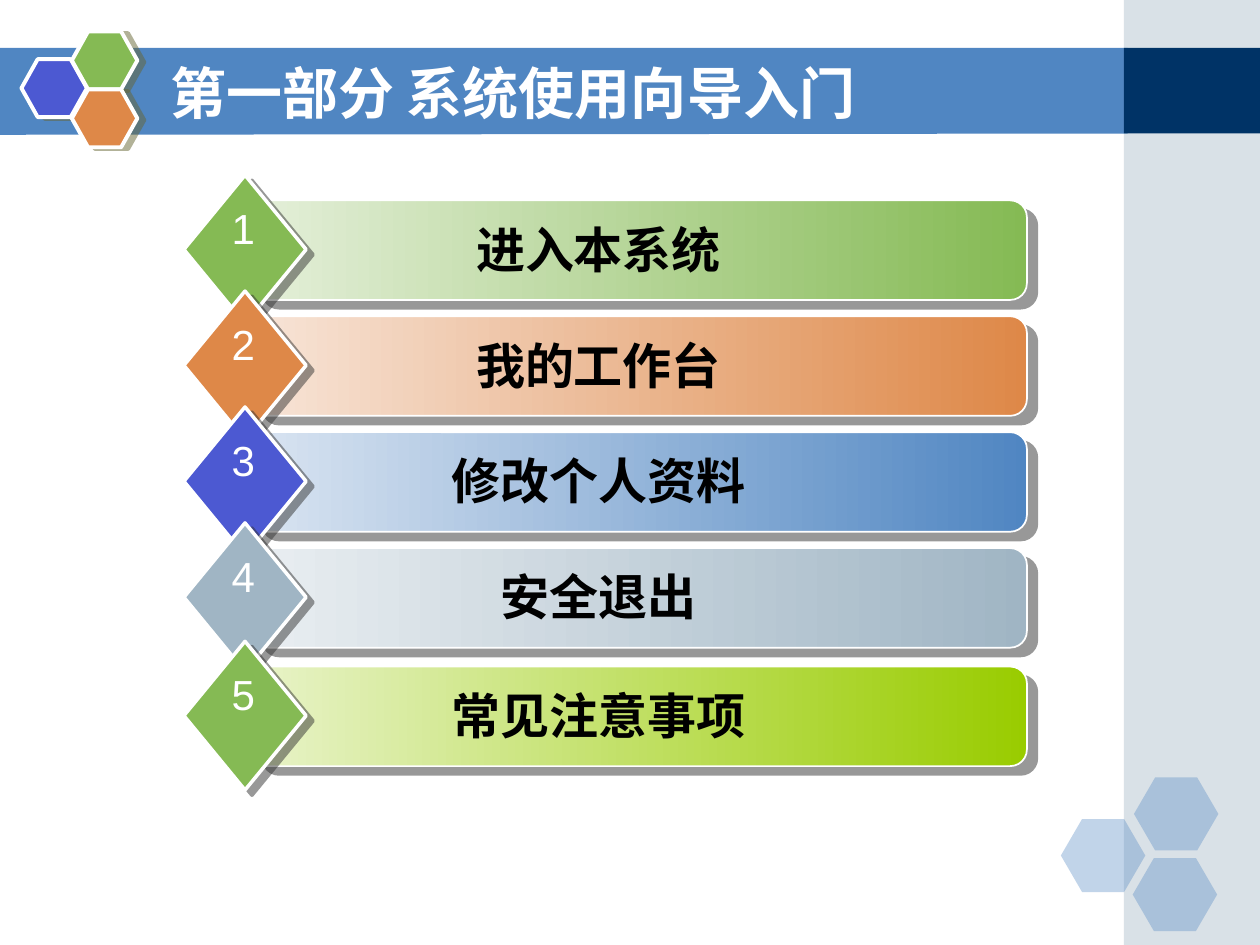
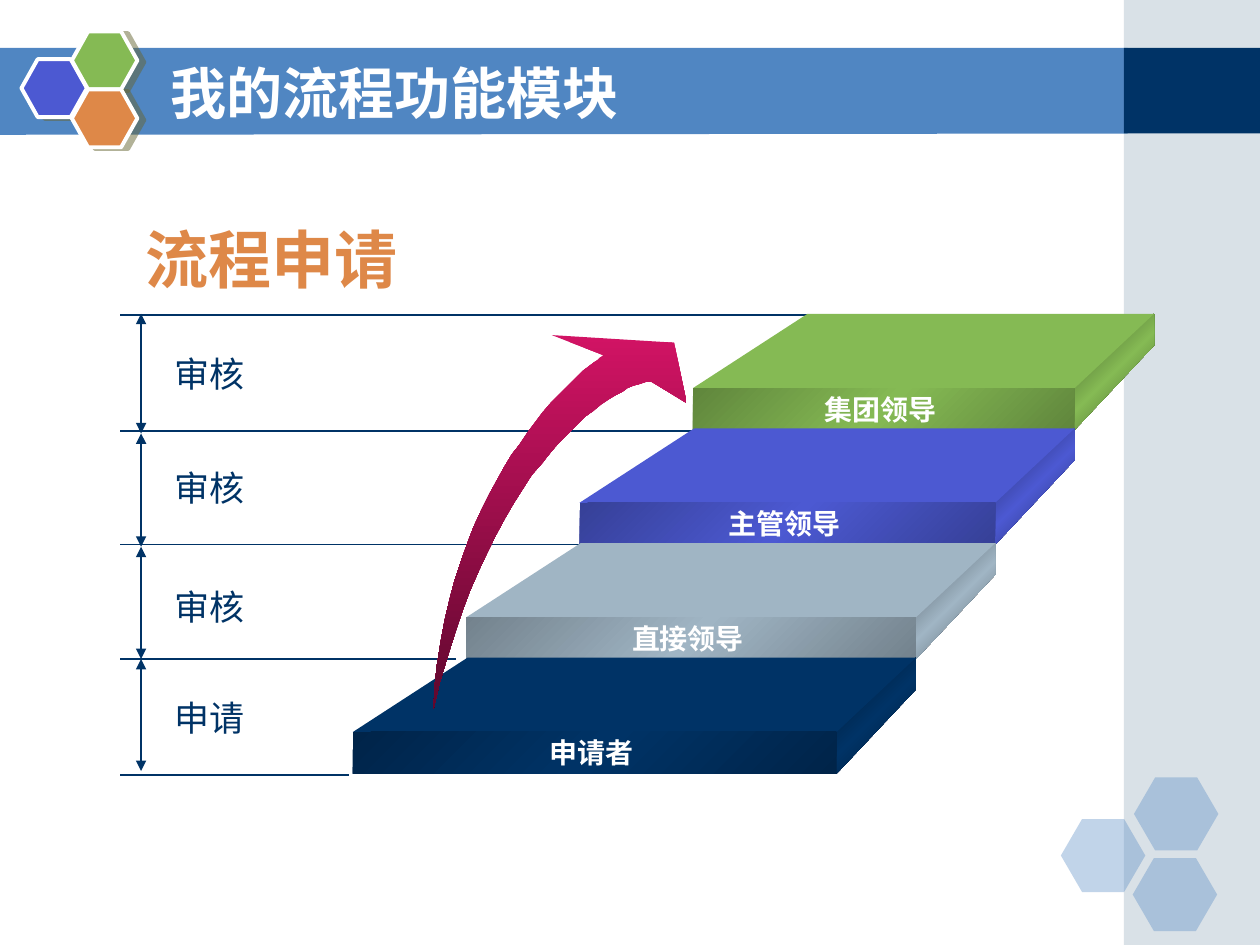
from copy import deepcopy
from itertools import pairwise

from pptx import Presentation
from pptx.dml.color import RGBColor
from pptx.enum.shapes import MSO_CONNECTOR, MSO_SHAPE
from pptx.enum.text import MSO_ANCHOR, MSO_AUTO_SIZE, PP_ALIGN
from pptx.oxml.ns import qn
from pptx.oxml.xmlchemy import OxmlElement
from pptx.util import Pt

PX = 9144  # EMU per px, 100 px to the inch
TITLE_ONLY = 5
RECTANGLE, ROUNDED = MSO_SHAPE.RECTANGLE, MSO_SHAPE.ROUNDED_RECTANGLE
HEXAGON, DIAMOND = MSO_SHAPE.HEXAGON, MSO_SHAPE.DIAMOND
STRAIGHT = MSO_CONNECTOR.STRAIGHT
LEFT, CENTER = PP_ALIGN.LEFT, PP_ALIGN.CENTER
MIDDLE = MSO_ANCHOR.MIDDLE
HEADING_FONT, BODY_FONT = "DejaVu Sans", "Arial"

COLORS = {
    "white": "FFFFFF", "black": "000000", "navy": "003366", "blue": "5086C2",
    "indigo": "4C59D2", "green": "85BA54", "orange": "DE8848", "slate": "A0B5C4",
    "lime": "99CC00", "olive": "666633", "charcoal": "333333",
    "pale green": "E4EFD9", "pale orange": "F7E4D7", "pale blue": "D9E4F1",
    "pale slate": "E9EEF1", "pale lime": "E8F3C8",
    "dim green": "60863C", "dim indigo": "364097", "dim slate": "73828D", "dim navy": "002449",
    "deep green": "3D5526", "deep indigo": "232960", "deep slate": "49535A", "deep navy": "00172F",
    "magenta": "D11364", "wine": "60082E",
}
RGB = {name: RGBColor.from_string(value) for name, value in COLORS.items()}


def style(shape, colors, angle=0, opacity=100, line_width=0, shadow=None):
    """Fill with one colour or an even gradient; shadow is (colour, points, degrees)."""
    properties = shape.element.spPr
    if len(colors) == 1:
        shape.fill.solid()
        shape.fill.fore_color.rgb = RGB[colors[0]]
        if opacity < 100:
            alpha = OxmlElement("a:alpha")
            alpha.set("val", str(opacity * 1000))
            properties.find(".//" + qn("a:srgbClr")).append(alpha)
    else:
        shape.fill.gradient()
        stop_list = properties.find(".//" + qn("a:gsLst"))
        while len(stop_list) < len(colors):
            stop_list.append(deepcopy(stop_list[0]))
        for index, stop in enumerate(shape.fill.gradient_stops):
            stop.color.rgb = RGB[colors[index]]
            stop.position = index / (len(colors) - 1)
        shape.fill.gradient_angle = 360 - angle
    if line_width:
        shape.line.color.rgb = RGB["white"]
        shape.line.width = Pt(line_width)
    else:
        shape.line.fill.background()
    shape.shadow.inherit = False
    if shadow:
        shadow_color, distance, direction = shadow
        outer = OxmlElement("a:outerShdw")
        outer.set("dist", str(Pt(distance)))
        outer.set("dir", str(direction * 60000))
        outer.set("algn", "ctr")
        outer.set("rotWithShape", "0")
        tint = OxmlElement("a:srgbClr")
        tint.set("val", COLORS[shadow_color])
        alpha = OxmlElement("a:alpha")
        alpha.set("val", "50000")
        tint.append(alpha)
        outer.append(tint)
        properties.find(qn("a:effectLst")).append(outer)


def write(shape, text, size, color, font, bold=False, align=LEFT, wrap=True):
    frame = shape.text_frame
    frame.word_wrap = wrap
    frame.auto_size = MSO_AUTO_SIZE.NONE
    frame.text = text
    paragraph = frame.paragraphs[0]
    paragraph.alignment = align
    span = paragraph.runs[0]
    span.font.size = Pt(size)
    span.font.name = font
    span.font.bold = bold
    span.font.color.rgb = RGB[color]


deck = Presentation()
deck.slide_width, deck.slide_height = 1000 * PX, 750 * PX

# Shared layout: title place, band, side panel and hexagons
layout = deck.slide_layouts[TITLE_ONLY]
for holder in list(layout.placeholders):
    if holder.placeholder_format.idx != 0:
        holder.element.getparent().remove(holder.element)
title_place = layout.placeholders[0]
title_place.left, title_place.top = 125 * PX, 42 * PX
title_place.width, title_place.height = 733 * PX, 62 * PX

pages = []
for heading in ("第一部分 系统使用向导入门", "我的流程功能模块"):
    page = deck.slides.add_slide(layout)
    write(page.shapes.title, heading, 32, "white", HEADING_FONT, bold=True)
    page.shapes.title.text_frame.vertical_anchor = MIDDLE
    pages.append(page)
agenda, process = pages

builder = agenda.shapes.build_freeform(-1, 38, scale=PX)
builder.add_line_segments([(895, 38), (895, 106), (-1, 107)])
style(builder.convert_to_shape(), ["blue"])

for top, height, color, opacity in ((0, 750, "slate", 40), (38, 68, "navy", 100)):
    panel = agenda.shapes.add_shape(RECTANGLE, 892 * PX, top * PX, 108 * PX, height * PX)
    style(panel, [color], opacity=opacity)

for left, top in ((842, 650), (900, 617), (899, 681)):
    hexagon = agenda.shapes.add_shape(HEXAGON, left * PX, top * PX, 67 * PX, 58 * PX)
    hexagon.adjustments[0] = 0.29
    style(hexagon, ["blue"], opacity=35)

for left, top, color in ((17, 47, "indigo"), (57, 25, "green"), (57, 71, "orange")):
    hexagon = agenda.shapes.add_shape(HEXAGON, left * PX, top * PX, 52 * PX, 46 * PX)
    hexagon.adjustments[0] = 0.28
    style(hexagon, [color], line_width=2.25, shadow=("olive", 4.1, 14))

for decoration in list(agenda.shapes)[1:]:
    layout.shapes.element.append(decoration.element)

# Slide 1: numbered agenda bars
agenda_rows = [
    (159, "进入本系统", "green", "green", "pale green"),
    (251, "我的工作台", "orange", "orange", "pale orange"),
    (343, "修改个人资料", "indigo", "blue", "pale blue"),
    (435, "安全退出", "slate", "slate", "pale slate"),
    (529, "常见注意事项", "green", "lime", "pale lime"),
]
for number, (top, label, marker_color, bar_color, pale) in enumerate(agenda_rows, 1):
    bar = agenda.shapes.add_shape(ROUNDED, 200 * PX, top * PX, 615 * PX, 79 * PX)
    style(bar, [bar_color, pale], angle=180, line_width=1, shadow=("charcoal", 7.8, 40))
    marker = agenda.shapes.add_shape(DIAMOND, 146 * PX, (top - 20) * PX, 97 * PX, 118 * PX)
    style(marker, [marker_color], line_width=2, shadow=("charcoal", 5, 37))
    label_box = agenda.shapes.add_textbox(232 * PX, (top + 10) * PX, 486 * PX, 57 * PX)
    write(label_box, label, 28, "black", BODY_FONT, bold=True, align=CENTER)
    number_box = agenda.shapes.add_textbox(174 * PX, (top - 3) * PX, 38 * PX, 50 * PX)
    write(number_box, str(number), 24, "white", BODY_FONT, align=CENTER, wrap=False)

# Slide 2: level lines and the arrows between them
level_lines = [(646, 250), (551, 342), (462, 432), (362, 523), (277, 615)]
arrow_stops = [249, 344, 434, 523, 612]
segments = [(right, y, 95, y, False) for right, y in level_lines]
segments += [(112, start, 112, end, True) for start, end in pairwise(arrow_stops)]
for x1, y1, x2, y2, has_arrowheads in segments:
    connector = process.shapes.add_connector(STRAIGHT, x1 * PX, y1 * PX, x2 * PX, y2 * PX)
    connector.line.color.rgb = RGB["navy"]
    connector.line.width = Pt(0.75)
    connector_properties = connector.element.spPr
    if has_arrowheads:
        for tag in ("a:headEnd", "a:tailEnd"):
            arrowhead = OxmlElement(tag)
            arrowhead.set("type", "triangle")
            connector_properties.find(qn("a:ln")).append(arrowhead)
    connector_properties.append(OxmlElement("a:effectLst"))

for top, action in ((275, "审核"), (365, "审核"), (460, "审核"), (548, "申请")):
    action_box = process.shapes.add_textbox(129 * PX, top * PX, 75 * PX, 44 * PX)
    write(action_box, action, 20, "navy", HEADING_FONT, wrap=False)

# Staircase: each step has a side, a top and a labelled front
steps = [("集团领导 ", "green"), ("主管领导 ", "indigo"), ("直接领导 ", "slate"), ("申请者 ", "navy")]
for index, (role, color) in enumerate(steps):
    left, right, back = 550 - 90 * index, 853 - 63 * index, 249 + 91 * index
    front = back + 59
    side = [(right + 63, back + 25), (right, back + 92), (right, front), (right + 63, back)]
    surface = [(right, front), (left, front), (left + 91, back), (right + 63, back)]
    for outline, colors in ((side, [f"deep {color}", color, f"deep {color}"]), (surface, [color])):
        builder = process.shapes.build_freeform(*outline[0], scale=PX)
        builder.add_line_segments(outline[1:])
        style(builder.convert_to_shape(), colors, angle=225)
    face = process.shapes.add_shape(RECTANGLE, left * PX, front * PX, (right - left) * PX, 33 * PX)
    style(face, [f"dim {color}", color, f"dim {color}"], angle=225)
    write(face, role, 16, "white", HEADING_FONT, bold=True, align=CENTER, wrap=False)
    face.text_frame.vertical_anchor = MIDDLE

# Rising arrow: two cubic curves joined by the arrowhead
outer_curve = [(344, 563), (354, 370), (472, 286), (479, 282)]
inner_curve = [(517, 303), (503, 300), (394, 347), (344, 563)]
curve_points = []
for curve in (outer_curve, inner_curve):
    points = []
    for count in range(31):
        t = count / 30
        weights = ((1 - t) ** 3, 3 * t * (1 - t) ** 2, 3 * t ** 2 * (1 - t), t ** 3)
        points.append(tuple(sum(w * p[axis] for w, p in zip(weights, curve)) for axis in (0, 1)))
    curve_points.append(points)
outer_points, inner_points = curve_points
builder = process.shapes.build_freeform(*outer_points[0], scale=PX)
builder.add_line_segments(outer_points[1:] + [(438, 266), (535, 272), (545, 320)] + inner_points)
style(builder.convert_to_shape(), ["magenta", "wine"], angle=90)

subtitle_box = process.shapes.add_textbox(106 * PX, 170 * PX, 331 * PX, 70 * PX)
write(subtitle_box, "流程申请", 36, "orange", BODY_FONT, bold=True)

deck.save("out.pptx")
